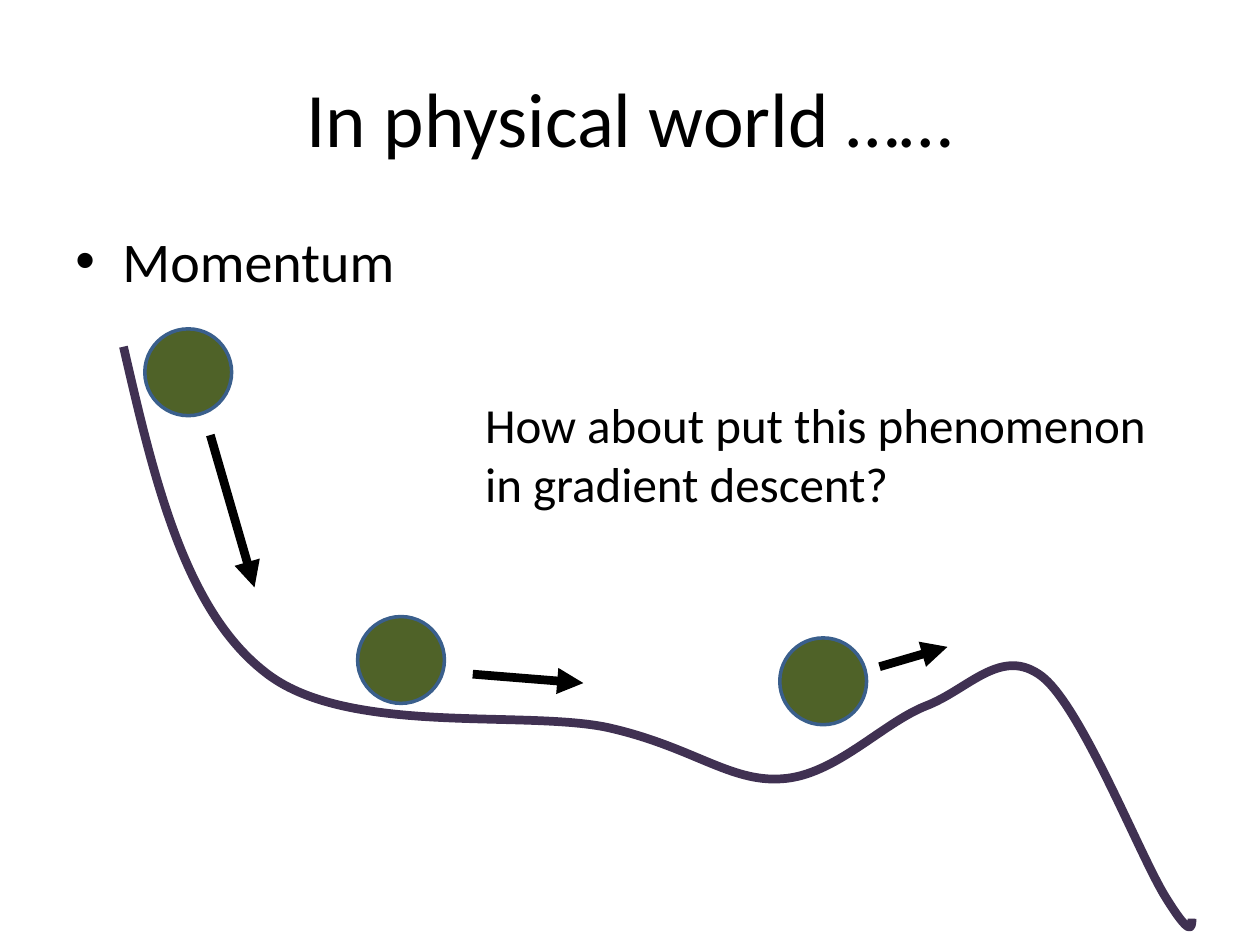
from lxml import etree
from pptx import Presentation
from pptx.dml.color import RGBColor
from pptx.enum.shapes import MSO_CONNECTOR, MSO_SHAPE
from pptx.enum.text import MSO_ANCHOR, MSO_AUTO_SIZE, PP_ALIGN
from pptx.oxml.ns import qn
from pptx.util import Cm, Pt

STRAIGHT, ELLIPSE = MSO_CONNECTOR.STRAIGHT, MSO_SHAPE.OVAL
MIDDLE, CENTER, LEFT = MSO_ANCHOR.MIDDLE, PP_ALIGN.CENTER, PP_ALIGN.LEFT
FIT_SHAPE = MSO_AUTO_SIZE.SHAPE_TO_FIT_TEXT

BLACK = RGBColor(0x00, 0x00, 0x00)
PURPLE = RGBColor(0x40, 0x31, 0x52)
GREEN = RGBColor(0x4F, 0x62, 0x28)
BLUE = RGBColor(0x3A, 0x5F, 0x8C)
FONT = "Calibri"

# Positions in cm from the top left corner of the hill.
# The hill is a start point, then two control points and an end per curve.
HILL_START = (0, 0)
HILL_CURVES = [
    [(0.61, 2.64), (1.22, 5.28), (2.84, 6.55)],
    [(4.45, 7.85), (7.98, 7.32), (9.73, 7.67)],
    [(11.46, 8.05), (12.22, 8.79), (13.28, 8.71)],
    [(14.35, 8.64), (15.29, 7.59), (16.18, 7.24)],
    [(17.04, 6.91), (17.7, 6.02), (18.52, 6.65)],
    [(19.33, 7.29), (20.5, 10.29), (21.01, 11.1)],
    [(21.51, 11.91), (21.54, 11.73), (21.54, 11.53)],
]
BALLS = [(0.43, -0.36), (4.72, 5.44), (13.23, 5.87)]
BALL_SIZE = 1.75
MOTIONS = [
    ((1.75, 1.78), (2.64, 4.85)),
    ((7.04, 6.6), (9.27, 6.78)),
    ((15.24, 6.45), (16.61, 6.05)),
]


def place(shape, left, top, width, height):
    shape.left, shape.top = Cm(left), Cm(top)
    shape.width, shape.height = Cm(width), Cm(height)


def write(shape, text, size, align=LEFT):
    frame = shape.text_frame
    frame.text = text
    frame.word_wrap = True
    paragraph = frame.paragraphs[0]
    paragraph.alignment = align
    font = paragraph.runs[0].font
    font.name, font.size, font.color.rgb = FONT, Pt(size), BLACK


def add_heading(slide, left, top, width, height):
    title = slide.shapes.title
    place(title, left, top, width, height)
    write(title, "In physical world ……", 44, CENTER)
    title.text_frame.vertical_anchor = MIDDLE


def add_topic(slide, left, top, width, height):
    topic = slide.shapes.add_textbox(Cm(left), Cm(top), Cm(width), Cm(height))
    write(topic, "Momentum", 32)
    properties = topic.text_frame.paragraphs[0]._p.get_or_add_pPr()
    properties.set("marL", str(Cm(0.95)))
    properties.set("indent", str(Cm(-0.95)))
    etree.SubElement(properties, qn("a:buFont"), typeface="Arial")
    etree.SubElement(properties, qn("a:buChar"), char="•")


def add_question(slide, left, top, width, height):
    question = slide.shapes.add_textbox(Cm(left), Cm(top), Cm(width), Cm(height))
    write(question, "How about put this phenomenon in gradient descent?", 28)
    question.text_frame.auto_size = FIT_SHAPE


def add_hill(slide, left, top, height):
    def point(x, y):
        return Cm(left + x), Cm(top + y)

    builder = slide.shapes.build_freeform(*point(*HILL_START))
    builder.add_line_segments(
        [point(*spot) for curve in HILL_CURVES for spot in curve], close=False)
    hill = builder.convert_to_shape()
    hill.shadow.inherit = False
    hill.fill.background()
    hill.line.color.rgb, hill.line.width = PURPLE, Pt(5)

    # Turn every three straight segments into one Bézier curve
    outline = next(hill._element.iter(qn("a:path")))
    segments = outline.findall(qn("a:lnTo"))
    for start in range(0, len(segments), 3):
        curve = etree.SubElement(outline, qn("a:cubicBezTo"))
        for segment in segments[start:start + 3]:
            curve.append(segment[0])
            outline.remove(segment)
    # The frame ends at the curve, not at its control points
    hill.height = Cm(height)
    outline.set("h", str(Cm(height)))


def add_ball(slide, left, top):
    ball = slide.shapes.add_shape(
        ELLIPSE, Cm(left), Cm(top), Cm(BALL_SIZE), Cm(BALL_SIZE))
    ball.shadow.inherit = False
    ball.fill.solid()
    ball.fill.fore_color.rgb = GREEN
    ball.line.color.rgb, ball.line.width = BLUE, Pt(2)


def add_motion(slide, x1, y1, x2, y2):
    motion = slide.shapes.add_connector(STRAIGHT, Cm(x1), Cm(y1), Cm(x2), Cm(y2))
    motion.line.color.rgb, motion.line.width = BLACK, Pt(5)
    etree.SubElement(motion.line._get_or_add_ln(), qn("a:tailEnd"), type="triangle")
    etree.SubElement(motion._element.spPr, qn("a:effectLst"))


def add_rolling_scene(slide, left, top):
    add_hill(slide, left, top, 11.68)
    for x, y in BALLS:
        add_ball(slide, left + x, top + y)
    for (x1, y1), (x2, y2) in MOTIONS:
        add_motion(slide, left + x1, top + y1, left + x2, top + y2)
    add_question(slide, left + 7.04, top + 0.84, 14.12, 2.64)


def main():
    deck = Presentation()
    deck.slide_width, deck.slide_height = Cm(25.4), Cm(19.05)
    slide = deck.slides.add_slide(deck.slide_layouts.get_by_name("Title Only"))
    add_heading(slide, 1.27, 0.76, 22.86, 3.18)
    add_topic(slide, 1.27, 4.45, 22.86, 12.57)
    add_rolling_scene(slide, 2.49, 6.99)
    deck.save("out.pptx")


if __name__ == "__main__":
    main()
